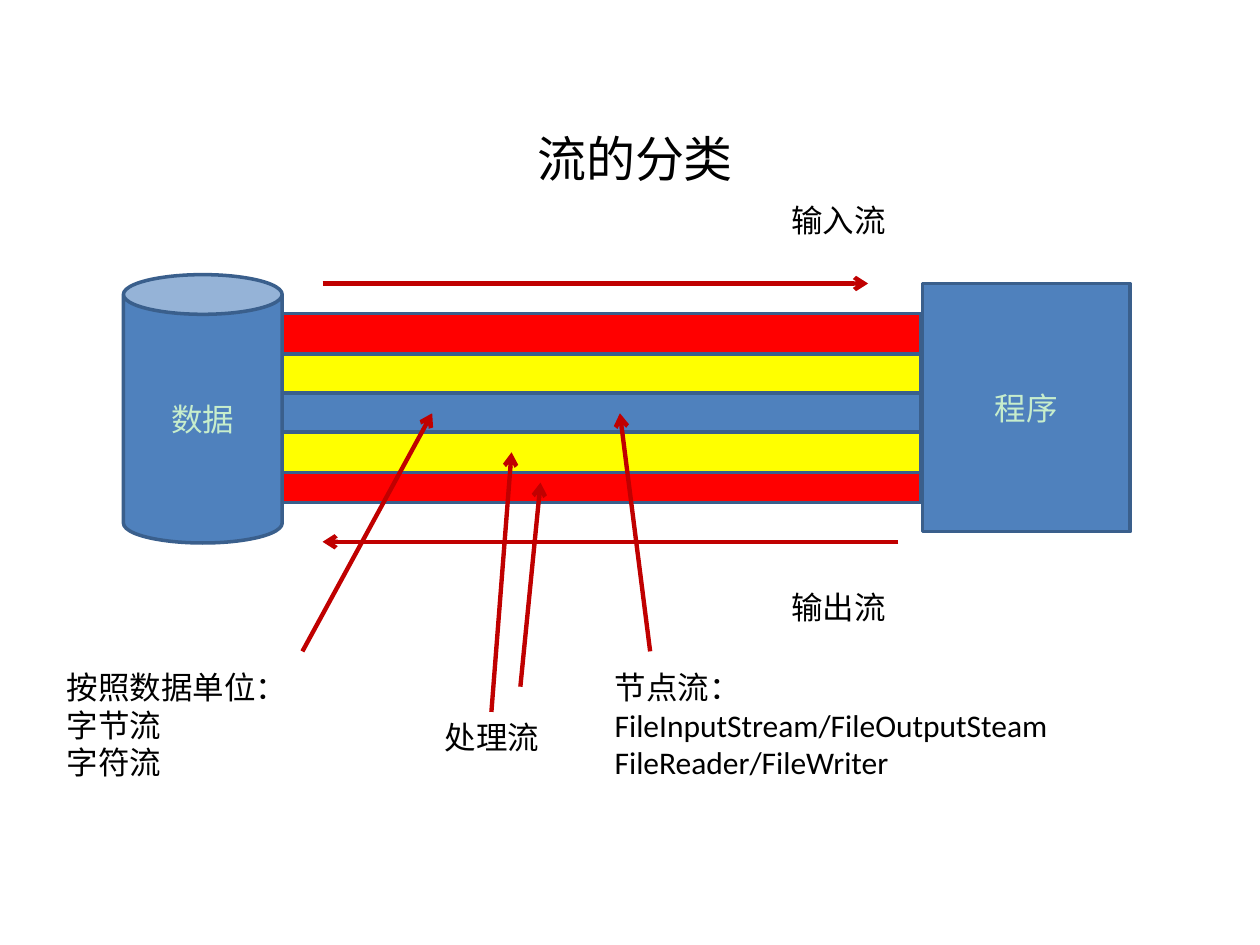
"""Build a slide that shows how data streams are classified between data and program."""
import pptx
import pptx.dml.color
import pptx.enum.shapes
import pptx.enum.text
import pptx.oxml
import pptx.oxml.ns
import pptx.util

SHAPE = pptx.enum.shapes.MSO_SHAPE
ALIGN = pptx.enum.text.PP_ALIGN
ANCHOR = pptx.enum.text.MSO_ANCHOR
THEME = {
    "font": "Calibri", "title": 28, "body": 18, "outline_width": 2, "arrow_width": 2.5,
    "background": "FFFFFF", "ink": "000000", "pale": "C7EDCC", "blue": "4F81BD",
    "outline": "3A5F8C", "outer": "FF0000", "middle": "FFFF00", "arrow": "C00000",
}
COLUMNS, ROWS = 100, 75

deck = pptx.Presentation()
deck.slide_width, deck.slide_height = pptx.util.Inches(10), pptx.util.Inches(7.5)
column, row = deck.slide_width / COLUMNS, deck.slide_height / ROWS
slide = deck.slides.add_slide(deck.slide_layouts[5])
slide.background.fill.solid()
slide.background.fill.fore_color.rgb = pptx.dml.color.RGBColor.from_string(THEME["background"])


def place(left, top, width, height):
    return [round(n * unit) for n, unit in zip((left, top, width, height), (column, row) * 2)]


def write(frame, wording, size, color, align, anchor, fit):
    frame.text = wording
    for name, value in {"word_wrap": True, "auto_size": fit, "vertical_anchor": anchor}.items():
        setattr(frame, name, value)
    letters = {"name": THEME["font"], "size": pptx.util.Pt(THEME[size]), "bold": False}
    for paragraph in frame.paragraphs:
        paragraph.alignment = align
        for run in paragraph.runs:
            for name, value in letters.items():
                setattr(run.font, name, value)
            run.font.color.rgb = pptx.dml.color.RGBColor.from_string(THEME[color])


pipe_left, pipe_width = 22.4, 50.7
parts = [
    (SHAPE.RECTANGLE, (pipe_left, 24.9, pipe_width, 15), "outer", ""),
    (SHAPE.RECTANGLE, (pipe_left, 28.1, pipe_width, 9.4), "middle", ""),
    (SHAPE.RECTANGLE, (pipe_left, 31.2, pipe_width, 3.1), "blue", ""),
    (SHAPE.RECTANGLE, (73.2, 22.5, 16.5, 19.7), "blue", "程序"),
    (SHAPE.CAN, (9.8, 21.8, 12.6, 21.3), "blue", "数据"),
]
for outline, box, fill, wording in parts:
    part = slide.shapes.add_shape(outline, *place(*box))
    part.shadow.inherit = False
    part.fill.solid()
    part.fill.fore_color.rgb = pptx.dml.color.RGBColor.from_string(THEME[fill])
    part.line.color.rgb = pptx.dml.color.RGBColor.from_string(THEME["outline"])
    part.line.width = pptx.util.Pt(THEME["outline_width"])
    if wording:
        write(part.text_frame, wording, "body", "pale", ALIGN.CENTER, ANCHOR.MIDDLE,
              pptx.enum.text.MSO_AUTO_SIZE.NONE)

arrows = [
    (25.6, 22.5, 68.9, 22.5),
    (71.3, 43, 25.6, 43),
    (24, 51.7, 34.3, 32.8),
    (51.6, 51.7, 49.2, 32.8),
    (39, 56.5, 40.6, 35.9),
    (41.3, 54.5, 42.9, 38.3),
]
for ends in arrows:
    arrow = slide.shapes.add_connector(pptx.enum.shapes.MSO_CONNECTOR.STRAIGHT, *place(*ends))
    arrow.line.color.rgb = pptx.dml.color.RGBColor.from_string(THEME["arrow"])
    arrow.line.width = pptx.util.Pt(THEME["arrow_width"])
    head = pptx.oxml.parse_xml(f'<a:tailEnd {pptx.oxml.ns.nsdecls("a")} type="arrow"/>')
    arrow.line._get_or_add_ln().append(head)
    no_shadow = pptx.oxml.parse_xml(f'<a:effectLst {pptx.oxml.ns.nsdecls("a")}/>')
    arrow._element.spPr.append(no_shadow)

labels = [
    ((61.8, 15.5, 14.2, 4), "输入流"),
    ((61.8, 46.2, 22, 4), "输出流"),
    ((4.3, 52.5, 21.3, 10.1), "按照数据单位：\n字节流\n字符流"),
    ((47.8, 52.5, 46.3, 10.1), "节点流：\nFileInputStream/FileOutputSteam\nFileReader/FileWriter"),
    ((34.3, 56.5, 16.1, 4), "处理流"),
]
for box, wording in labels:
    label = slide.shapes.add_textbox(*place(*box))
    write(label.text_frame, wording, "body", "ink", ALIGN.LEFT, ANCHOR.TOP,
          pptx.enum.text.MSO_AUTO_SIZE.SHAPE_TO_FIT_TEXT)

title = slide.shapes.title
title.left, title.top, title.width, title.height = place(32.7, 9.7, 35.4, 5.7)
write(title.text_frame, "流的分类", "title", "ink", ALIGN.CENTER, ANCHOR.TOP,
      pptx.enum.text.MSO_AUTO_SIZE.SHAPE_TO_FIT_TEXT)

deck.save("out.pptx")
